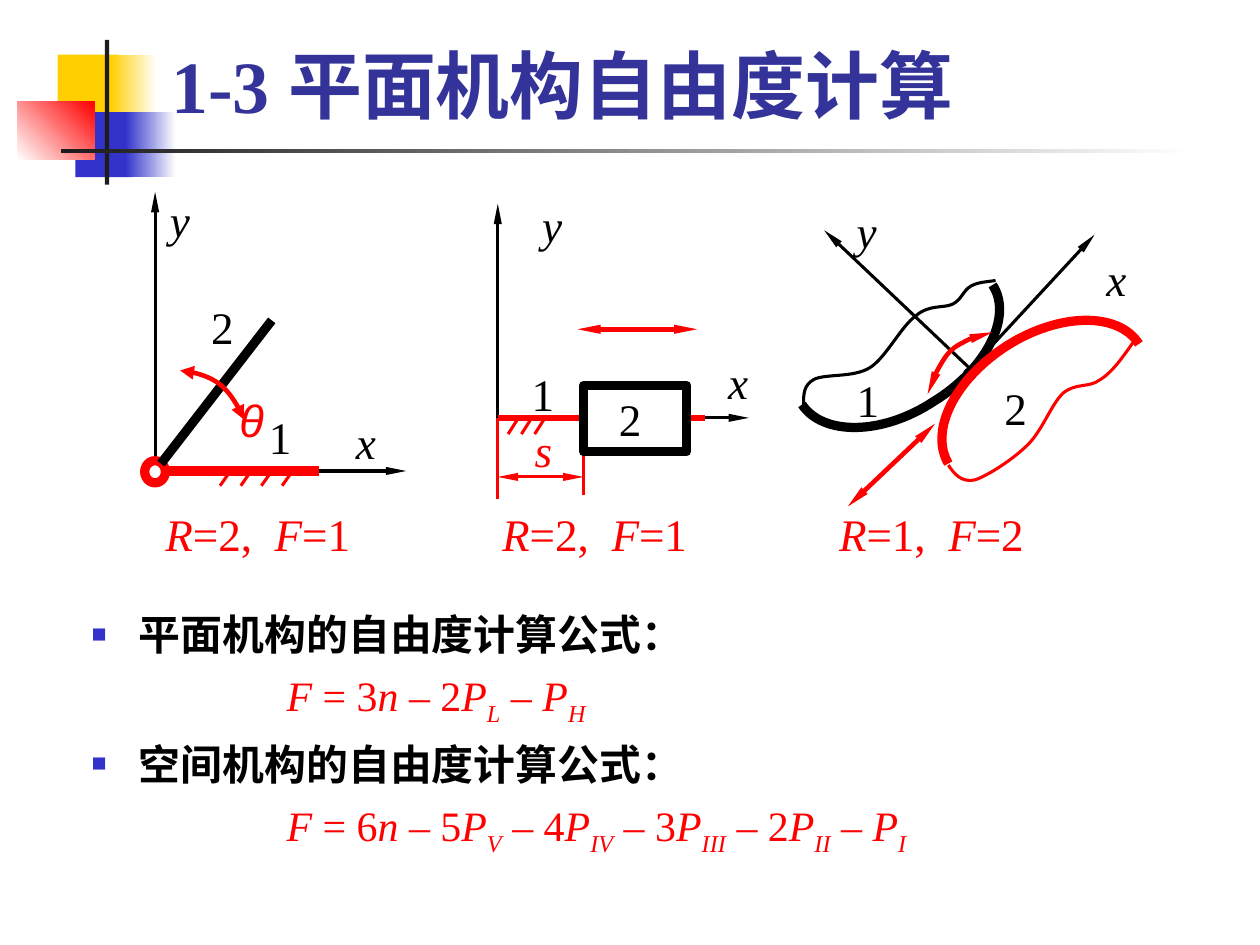
from lxml.etree import SubElement
from pptx import Presentation
from pptx.dml.color import RGBColor as RGB
from pptx.enum.shapes import MSO_CONNECTOR as CONN, MSO_SHAPE as SHAPE
from pptx.enum.text import MSO_ANCHOR as ANCHOR, MSO_AUTO_SIZE as AUTO
from pptx.oxml.ns import qn
from pptx.util import Pt

PX = 9144  # EMU per px, 100 px to the inch
WHITE, BLACK = RGB(255, 255, 255), RGB(0, 0, 0)
RED, BLUE, YELLOW = RGB(255, 0, 0), RGB(0x33, 0x33, 0xCC), RGB(0xFF, 0xCF, 0x01)
NAVY, INK = RGB(0x33, 0x33, 0x99), RGB(0x1C, 0x1C, 0x1C)
SLIM, PLAIN = ("sm", "lg"), ("med", "med")  # arrowhead width and length


class Canvas:
    font = "Times New Roman"

    def __init__(self, slide):
        self.shapes = slide.shapes

    def shape(self, kind, x, y, w, h, fill, line=None, width=0):
        sp = self.shapes.add_shape(kind, x * PX, y * PX, w * PX, h * PX)
        sp.shadow.inherit = False
        sp.fill.solid()
        sp.fill.fore_color.rgb = fill
        if line is None:
            sp.line.fill.background()
        else:
            sp.line.color.rgb = line
            sp.line.width = Pt(width)
        return sp

    def fade(self, x, y, w, h, start, end, angle=0):
        sp = self.shape(SHAPE.RECTANGLE, x, y, w, h, start)
        sp.fill.gradient()
        sp.fill.gradient_angle = angle
        for stop, color in zip(sp.fill.gradient_stops, (start, end)):
            stop.color.rgb = color

    def stroke(self, sp, color, width, ends, head):
        sp.line.color.rgb = color
        sp.line.width = Pt(width)
        ln = sp._element.spPr.find(qn("a:ln"))
        for end in ends:
            SubElement(ln, qn(f"a:{end}End"), type="triangle", w=head[0], len=head[1])

    def line(self, x1, y1, x2, y2, color=BLACK, width=1.5, ends=()):
        cn = self.shapes.add_connector(CONN.STRAIGHT, x1 * PX, y1 * PX, x2 * PX, y2 * PX)
        self.stroke(cn, color, width, ends, SLIM)
        SubElement(cn._element.spPr, qn("a:effectLst"))

    def curve(self, points, color, width=1.5, ends=(), head=SLIM):
        """Bezier chain: a start point, then three points per segment."""
        fb = self.shapes.build_freeform(*points[0], scale=PX)
        fb.add_line_segments(points[1:], close=False)
        sp = fb.convert_to_shape()
        sp.shadow.inherit = False
        sp.fill.background()
        self.stroke(sp, color, width, ends, head)
        outline = next(sp._element.iter(qn("a:path")))
        steps = outline.findall(qn("a:lnTo"))
        for i in range(0, len(steps), 3):
            bezier = SubElement(outline, qn("a:cubicBezTo"))
            for step in steps[i:i + 3]:
                bezier.append(step[0])
                outline.remove(step)

    def box(self, x, y, w, h, inset=(0, 0)):
        tf = self.shapes.add_textbox(x * PX, y * PX, w * PX, h * PX).text_frame
        tf.word_wrap = True
        tf.margin_left = tf.margin_right = inset[0] * PX
        tf.margin_top = tf.margin_bottom = inset[1] * PX
        return tf

    def add_runs(self, p, text, size, color, bold=False, font=font):
        """Runs are split by |; a lone symbol is italic, _ marks a subscript."""
        for part in text.split("|"):
            sub = part.startswith("_")
            part = part.lstrip("_")
            r = p.add_run()
            r.text = part
            f = r.font
            f.name, f.size, f.bold, f.italic = font, Pt(size), bold, part.isalpha()
            f.color.rgb = color
            if sub:
                r._r.get_or_add_rPr().set("baseline", "-25000")

    def label(self, x, y, text, color=BLACK, font=font):
        tf = self.box(x, y, 30, 37)
        self.add_runs(tf.paragraphs[0], text, 22, color, font=font)

    def hatch(self, xs, y, drop):
        for x in xs:
            self.line(x, y, x - 7, y + drop, RED)

    def indent(self, p, left, first=0):
        pPr = p._p.get_or_add_pPr()
        pPr.set("marL", str(left * PX))
        pPr.set("indent", str(first * PX))
        return pPr

    def bullet(self, p):
        pPr = self.indent(p, 32, -32)
        SubElement(SubElement(pPr, qn("a:buClr")), qn("a:srgbClr"), val=str(BLUE))
        SubElement(pPr, qn("a:buSzPct"), val="60000")
        SubElement(pPr, qn("a:buFont"), typeface="Arial")
        SubElement(pPr, qn("a:buChar"), char="■")


def main():
    prs = Presentation()
    prs.slide_width, prs.slide_height = 853 * PX, 640 * PX
    s = Canvas(prs.slides.add_slide(prs.slide_layouts[6]))

    # Corner ornament and rule
    s.shape(SHAPE.RECTANGLE, 39, 37, 41, 44, YELLOW)
    s.fade(75, 37, 31, 44, YELLOW, WHITE)
    s.shape(SHAPE.RECTANGLE, 51, 76, 39, 44, BLUE)
    s.fade(85, 76, 34, 44, BLUE, WHITE)
    s.fade(12, 69, 52, 39, WHITE, RED, 45)
    s.shape(SHAPE.RECTANGLE, 71, 27, 3, 98, INK)
    s.fade(41, 101, 768, 3, INK, WHITE)

    # Title
    tf = s.box(107, 22, 727, 69, (9, 4))
    tf.vertical_anchor = ANCHOR.BOTTOM
    tf.auto_size = AUTO.SHAPE_TO_FIT_TEXT
    s.add_runs(tf.paragraphs[0], "1-3 平面机构自由度计算", 36, NAVY, True)

    # Formulas
    tf = s.box(53, 408, 779, 194, (9, 4))
    formulas = (
        ("平面机构的自由度计算公式：", "F| = 3|n| – 2|P|_L| – |P|_H"),
        ("空间机构的自由度计算公式：",
         "F| = 6|n| – 5|P|_V| – 4|P|_IV| – 3|P|_III| – 2|P|_II| – |P|_I"),
    )
    for i, (heading, formula) in enumerate(formulas):
        p = tf.add_paragraph() if i else tf.paragraphs[0]
        s.bullet(p)
        if i:
            p.space_before = Pt(5.5)
        s.add_runs(p, heading, 20.4, BLACK, True)
        p = tf.add_paragraph()
        s.indent(p, 132)
        p.space_before = Pt(5.5)
        s.add_runs(p, formula, 20.4, RED)

    # Revolute pair
    s.line(105, 322, 105, 130, ends=["tail"])
    s.line(105, 319, 275, 319, ends=["tail"])
    s.hatch(range(156, 199, 14), 319, 10)
    s.shape(SHAPE.OVAL, 98, 312, 14, 15, WHITE, RED, 4.5)
    s.line(109, 314, 184, 217, width=4.5)
    s.line(109, 319, 216, 319, RED, 4.5)
    for x, y, text in ((115, 130, "y"), (241, 281, "x"), (182, 277, "1"), (143, 203, "2")):
        s.label(x, y, text)

    # Sliding pair
    s.line(391, 223, 472, 223, RED, 2.25, ("head", "tail"))
    s.line(337, 323, 395, 323, RED, ends=("head", "tail"))
    s.line(337, 273, 337, 338, RED)
    s.line(395, 293, 395, 335, RED)
    s.label(362, 286, "s", RED)
    s.line(337, 283, 507, 283, ends=["tail"])
    s.line(337, 283, 337, 138, ends=["tail"])
    s.line(337, 283, 477, 283, RED, 3)
    s.hatch(range(351, 370, 9), 283, 11)
    s.shape(SHAPE.RECTANGLE, 395, 261, 70, 45, WHITE, BLACK, 4.5)
    for x, y, text in ((367, 134, "y"), (493, 240, "x"), (360, 248, "1"), (419, 265, "2")):
        s.label(x, y, text)

    # Higher pair
    s.line(656, 249, 558, 156, ends=["tail"])
    s.line(654, 253, 741, 159, ends=["tail"])
    s.shape(SHAPE.OVAL, 653, 250, 7, 7, WHITE, BLACK, 1.5)
    s.curve([(672, 193), (686, 214), (668, 250), (632, 272),
             (597, 295), (557, 295), (543, 274)], BLACK, 4.5)
    s.curve([(544, 274), (544, 267), (544, 261), (551, 257), (559, 253), (578, 256),
             (589, 249), (600, 242), (610, 221), (620, 214), (629, 206), (639, 209),
             (645, 206), (651, 203), (652, 197), (657, 194), (662, 191), (668, 191),
             (674, 190)], BLACK)
    s.curve([(642, 314), (629, 292), (646, 257), (682, 234),
             (717, 212), (757, 211), (771, 233)], RED, 4.5)
    s.curve([(642, 315), (646, 321), (651, 327), (660, 325), (669, 322), (686, 311),
             (696, 301), (706, 291), (712, 273), (720, 266), (729, 259), (737, 263),
             (745, 257), (753, 252), (760, 242), (767, 232)], RED)
    for x, y, text in ((749, 170, "x"), (580, 138, "y"), (580, 252, "1"), (680, 258, "2")):
        s.label(x, y, text)

    # Constraint counts, one under each pair
    for i, count in enumerate(("R|=2,\t|F|=1", "R|=2,\t|F|=1", "R|=1,\t|F|=2")):
        p = s.box(103 + 228 * i, 339, 163, 45, (9, 4)).paragraphs[0]
        tabs = SubElement(p._p.get_or_add_pPr(), qn("a:tabLst"))
        SubElement(tabs, qn("a:tab"), pos=str(74 * PX), algn="l")
        s.add_runs(p, count, 22, RED)

    # Motion arrows
    both = ("head", "tail")
    s.curve([(122, 251), (141, 252), (158, 265), (165, 284)], RED, 2.25, both, PLAIN)
    s.label(162, 266, "θ", RED, "Arial")
    s.line(574, 343, 633, 287, RED, 2.25, both)
    s.curve([(628, 267), (634, 244), (652, 227), (672, 225)], RED, 2.25, both)

    prs.save("out.pptx")


if __name__ == "__main__":
    main()
